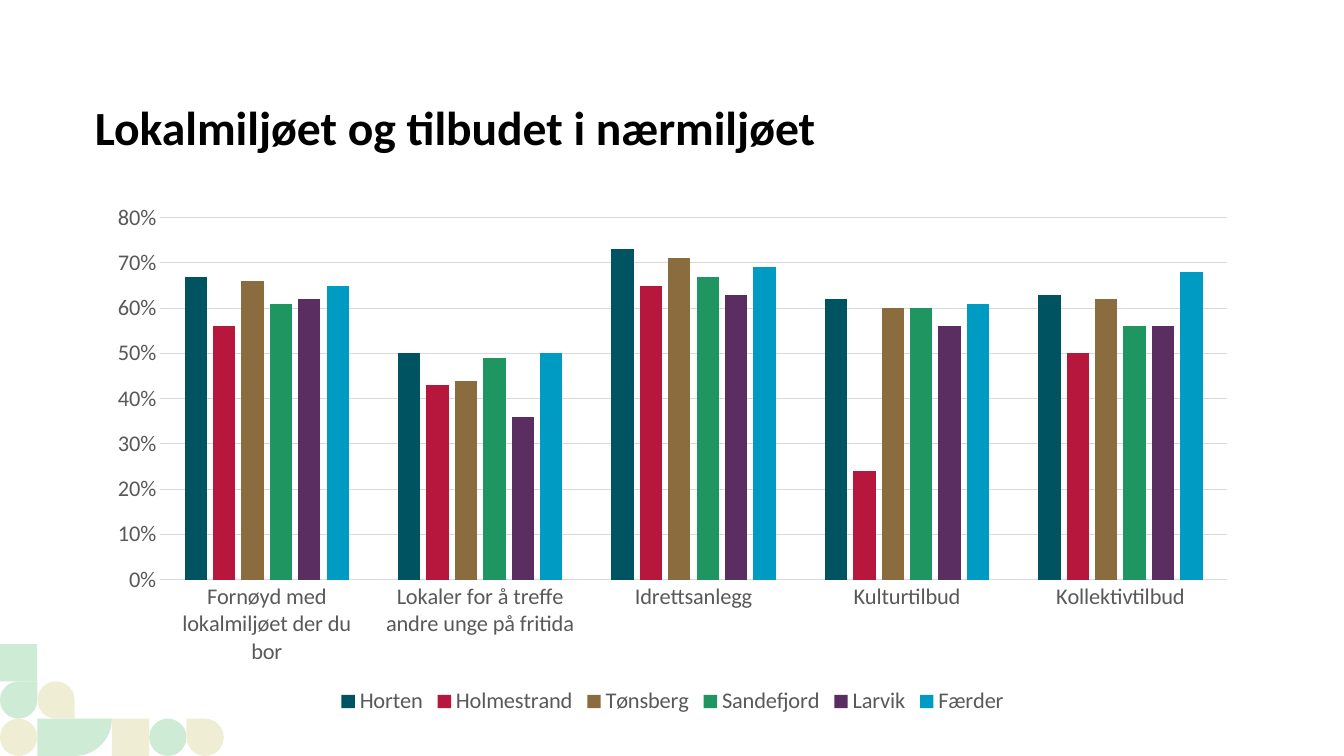
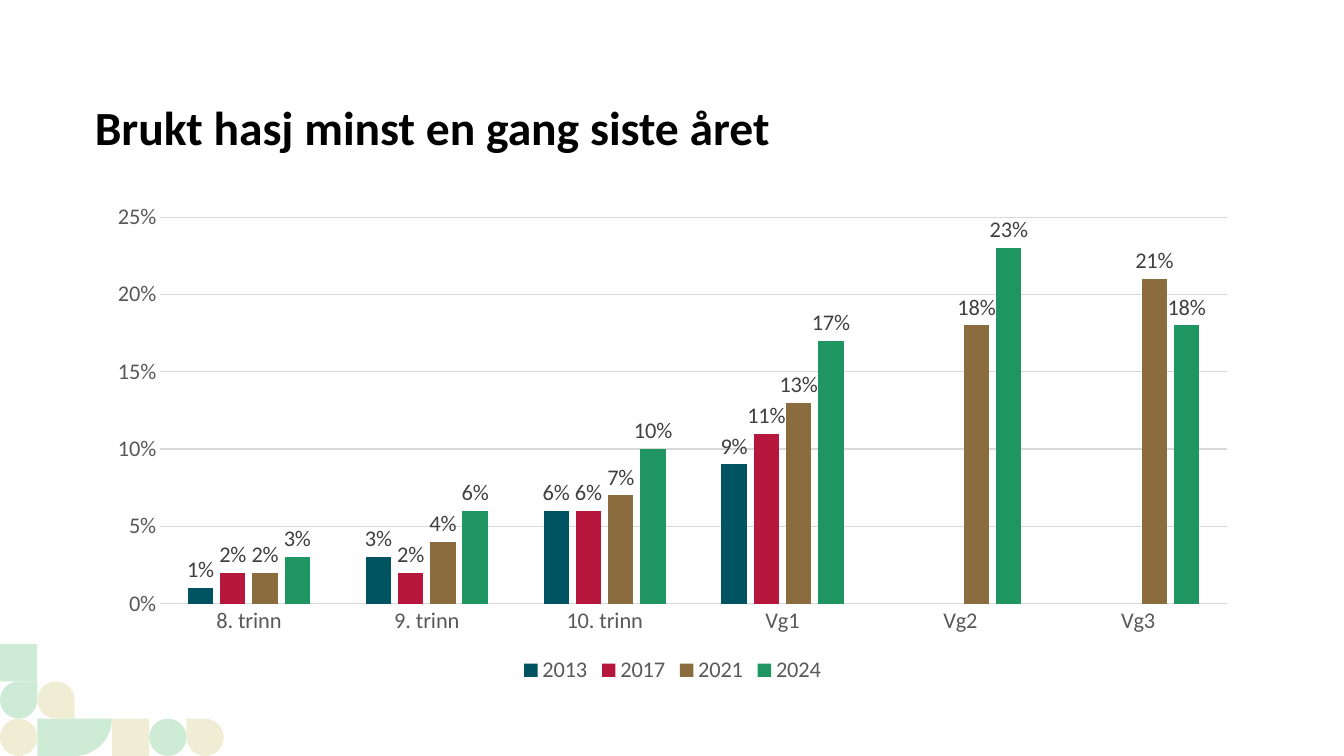
from dataclasses import dataclass
from math import cos, pi, sin

from pptx import Presentation
from pptx.chart.data import CategoryChartData
from pptx.dml.color import RGBColor
from pptx.enum.chart import (XL_CHART_TYPE, XL_LABEL_POSITION,
                             XL_LEGEND_POSITION, XL_TICK_MARK)
from pptx.enum.shapes import MSO_SHAPE
from pptx.enum.text import MSO_ANCHOR
from pptx.util import Pt

COLUMNS = XL_CHART_TYPE.COLUMN_CLUSTERED
OUTSIDE = XL_LABEL_POSITION.OUTSIDE_END
BELOW = XL_LEGEND_POSITION.BOTTOM
NO_TICK = XL_TICK_MARK.NONE
SQUARE, DISC, DROP = MSO_SHAPE.RECTANGLE, MSO_SHAPE.OVAL, MSO_SHAPE.TEAR
BOTTOM = MSO_ANCHOR.BOTTOM

SCALE = 9144  # EMU in one px, 100 px to the inch
WIDTH, HEIGHT = 1333, 750
LEFT, SPAN = 94, 1146
TILE = 37


@dataclass(frozen=True)
class Theme:
    font: str = "Calibri"
    title_size: int = 34
    chart_size: int = 16
    ink: str = "000000"
    muted: str = "595959"
    label: str = "404040"
    grid: str = "D9D9D9"
    mint: str = "CEEBD6"
    sand: str = "F0EDD5"
    series: tuple = ("005462", "B7173D", "8A6C3E", "1F9562", "5A2E61", "009BC2")


THEME = Theme()

# shape, column, row from the bottom, colour, rotation
TILES = (
    (SQUARE, 3, 1, THEME.sand, 0),
    (DISC, 0, 1, THEME.sand, 0),
    (DISC, 4, 1, THEME.mint, 0),
    (SQUARE, 0, 3, THEME.mint, 0),
    (DROP, 0, 2, THEME.mint, 0),
    (DROP, 1, 2, THEME.sand, 90),
    (DROP, 5, 1, THEME.sand, 270),
)

LOCAL = {
    "title": "Lokalmiljøet og tilbudet i nærmiljøet",
    "cats": ("Fornøyd med lokalmiljøet der du bor",
             "Lokaler for å treffe andre unge på fritida",
             "Idrettsanlegg", "Kulturtilbud", "Kollektivtilbud"),
    "series": {
        "Horten": (0.67, 0.5, 0.73, 0.62, 0.63),
        "Holmestrand": (0.56, 0.43, 0.65, 0.24, 0.5),
        "Tønsberg": (0.66, 0.44, 0.71, 0.6, 0.62),
        "Sandefjord": (0.61, 0.49, 0.67, 0.6, 0.56),
        "Larvik": (0.62, 0.36, 0.63, 0.56, 0.56),
        "Færder": (0.65, 0.5, 0.69, 0.61, 0.68),
    },
    "height": 522, "top": 0.8, "step": 0.1, "labels": False,
}

HASH = {
    "title": "Brukt hasj minst en gang siste året",
    "cats": ("8. trinn", "9. trinn", "10. trinn", "Vg1", "Vg2", "Vg3"),
    "series": {
        "2013": (0.01, 0.03, 0.06, 0.09, None, None),
        "2017": (0.02, 0.02, 0.06, 0.11, None, None),
        "2021": (0.02, 0.04, 0.07, 0.13, 0.18, 0.21),
        "2024": (0.03, 0.06, 0.1, 0.17, 0.23, 0.18),
    },
    "height": 491, "top": 0.25, "step": 0.05, "labels": True,
}


def px(*values):
    return [round(value * SCALE) for value in values]


def paint(shape, color):
    shape.shadow.inherit = False
    shape.fill.solid()
    shape.fill.fore_color.rgb = RGBColor.from_string(color)
    shape.line.fill.background()


def style(font, color, size=THEME.chart_size, bold=False):
    font.name, font.size, font.bold = THEME.font, Pt(size), bold
    font.color.rgb = RGBColor.from_string(color)


def rule(line):
    line.color.rgb = RGBColor.from_string(THEME.grid)
    line.width = Pt(0.75)


def add_tiles(slide):
    add_bowl(slide)
    for kind, col, row, color, turn in TILES:
        box = px(col * TILE, HEIGHT - row * TILE, TILE, TILE)
        tile = slide.shapes.add_shape(kind, *box)
        tile.rotation = turn
        paint(tile, color)


def add_bowl(slide):
    """Draw the two-tile block whose lower right corner is a quarter circle."""
    top, mid, steps = HEIGHT - TILE, 2 * TILE, 24
    angles = [pi / 2 * step / steps for step in range(steps + 1)]
    arc = [px(mid + TILE * cos(a), top + TILE * sin(a)) for a in angles]
    pen = slide.shapes.build_freeform(*px(TILE, top))
    pen.add_line_segments([*arc, px(TILE, HEIGHT)], close=True)
    paint(pen.convert_to_shape(), THEME.mint)


def add_title(slide, text):
    frame = slide.shapes.add_textbox(*px(LEFT, 97, SPAN, 57)).text_frame
    frame.margin_left = frame.margin_right = 0
    frame.margin_top = frame.margin_bottom = 0
    frame.word_wrap = True
    frame.vertical_anchor = BOTTOM
    frame.text = text
    style(frame.paragraphs[0].runs[0].font, THEME.ink, THEME.title_size, True)


def add_columns(slide, topic):
    data = CategoryChartData(number_format="0%")
    data.categories = topic["cats"]
    for name, values in topic["series"].items():
        data.add_series(name, values)
    box = px(LEFT, 192, SPAN, topic["height"])
    chart = slide.shapes.add_chart(COLUMNS, *box, data).chart
    chart.has_title = False
    style(chart.font, THEME.ink)
    set_axes(chart, topic)
    set_legend(chart)
    set_series(chart.plots[0], topic["labels"])


def set_axes(chart, topic):
    cats, vals = chart.category_axis, chart.value_axis
    for axis in (cats, vals):
        axis.major_tick_mark = axis.minor_tick_mark = NO_TICK
        style(axis.tick_labels.font, THEME.muted)
    rule(cats.format.line)
    vals.format.line.fill.background()
    rule(vals.major_gridlines.format.line)
    vals.minimum_scale, vals.maximum_scale = 0, topic["top"]
    vals.major_unit = topic["step"]
    vals.tick_labels.number_format = "0%"
    vals.tick_labels.number_format_is_linked = False


def set_legend(chart):
    chart.has_legend = True
    chart.legend.position = BELOW
    chart.legend.include_in_layout = False
    style(chart.legend.font, THEME.muted)


def set_series(plot, labels):
    plot.vary_by_categories = False
    plot.gap_width, plot.overlap = 219, -27
    for series, color in zip(plot.series, THEME.series):
        series.format.fill.solid()
        series.format.fill.fore_color.rgb = RGBColor.from_string(color)
        if labels:
            set_labels(series.data_labels)


def set_labels(labels):
    labels.show_value = True
    labels.position = OUTSIDE
    labels.number_format = "0%"
    labels.number_format_is_linked = False
    style(labels.font, THEME.label)


def main():
    deck = Presentation()
    deck.slide_width, deck.slide_height = px(WIDTH, HEIGHT)
    blank = deck.slide_layouts[6]
    for topic in (LOCAL, HASH):
        slide = deck.slides.add_slide(blank)
        add_tiles(slide)
        add_title(slide, topic["title"])
        add_columns(slide, topic)
    deck.save("out.pptx")


if __name__ == "__main__":
    main()
